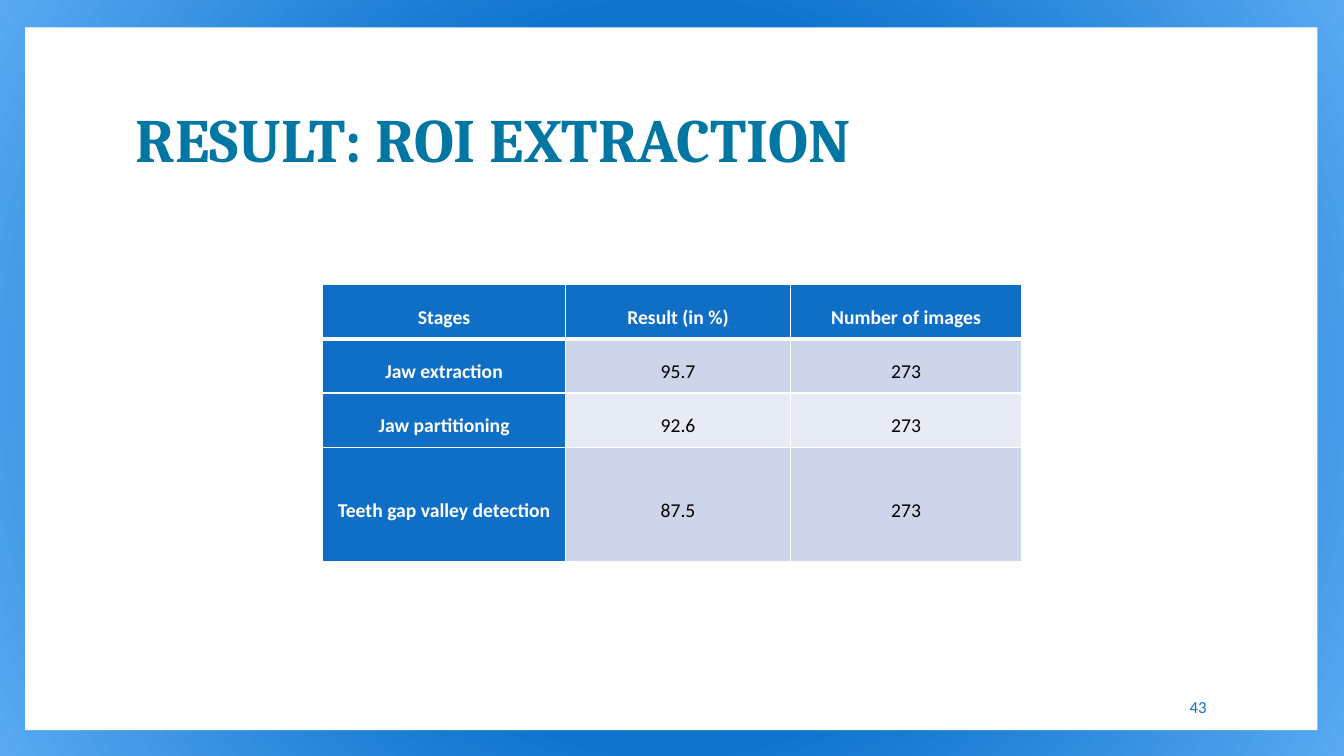
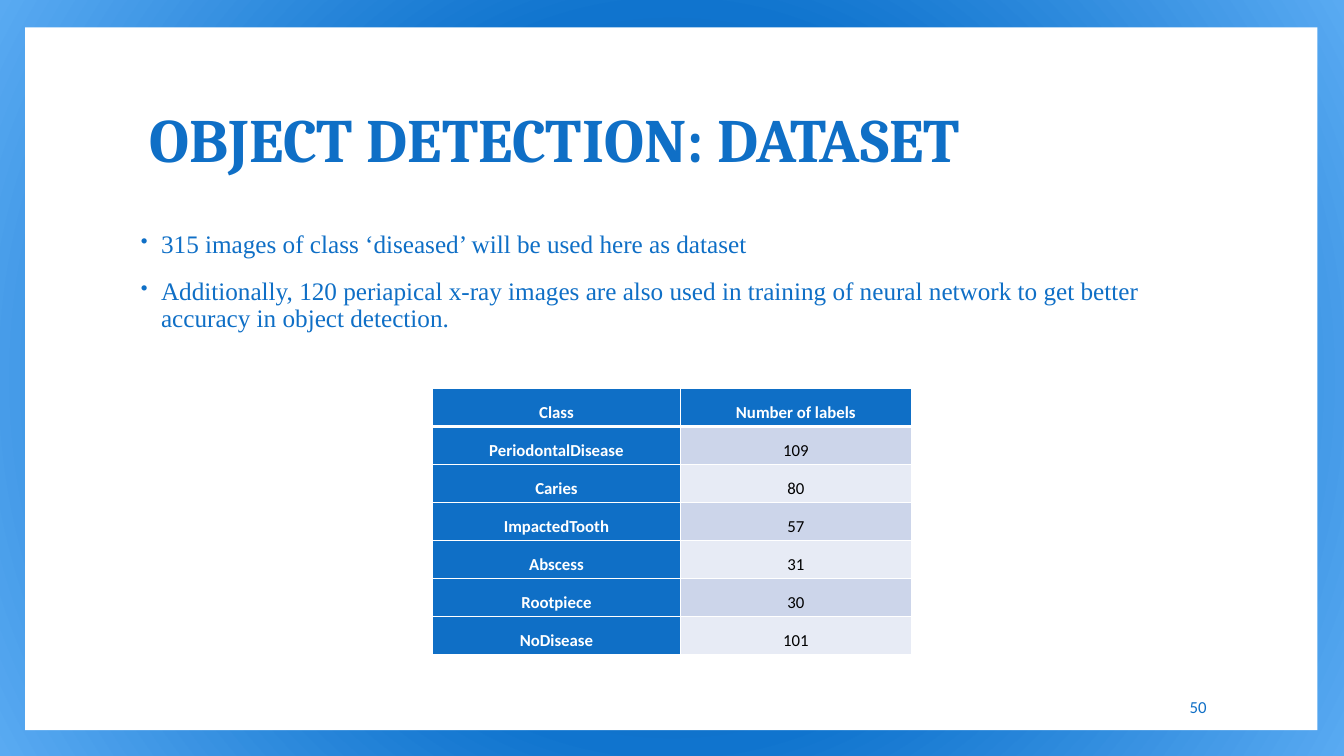
from lxml import etree
from pptx import Presentation
from pptx.dml.color import RGBColor
from pptx.enum.shapes import MSO_SHAPE
from pptx.enum.text import MSO_ANCHOR, PP_ALIGN
from pptx.oxml import parse_xml
from pptx.oxml.ns import nsdecls, qn
from pptx.util import Pt

COLORS = {
    "blue": "0F6FC6", "teal": "0076A3", "white": "FFFFFF", "black": "000000",
    "band_dark": "CCD5EA", "band_light": "E7EBF5",
}
BACKDROP = [(0, "0A4A85"), (48, "1074CE"), (100, "59AAF2")]

# Boxes are left, top, width, height in points
PANEL = (18, 19.5, 923, 502)
TITLE = (90, 48.25, 777.6, 106.5)
BODY = (90, 162, 777.6, 318)
NUMBER = (734.4, 490.3, 134.6, 28.8)


def rgb(name):
    return RGBColor.from_string(COLORS[name])


def style_runs(p, font, size, color, bold=False):
    for r in p.runs:
        r.font.name = font
        r.font.size = Pt(size)
        r.font.bold = bold
        r.font.color.rgb = rgb(color)


def set_backdrop(master):
    """Radial gradient shared by all slides."""
    master.background.fill.solid()
    bg = master.element.find(".//" + qn("p:bgPr"))
    stops = "".join(
        f'<a:gs pos="{pos * 1000}"><a:srgbClr val="{color}"/></a:gs>'
        for pos, color in BACKDROP)
    bg.replace(bg[0], parse_xml(
        f'<a:gradFill {nsdecls("a")} rotWithShape="1"><a:gsLst>{stops}</a:gsLst>'
        '<a:path path="circle"><a:fillToRect l="50000" t="50000" r="50000" b="50000"/>'
        '</a:path></a:gradFill>'))


def add_text_box(s, box, anchor=MSO_ANCHOR.MIDDLE):
    tf = s.shapes.add_textbox(*map(Pt, box)).text_frame
    tf.word_wrap = True
    tf.vertical_anchor = anchor
    return tf


def add_panel(s, box):
    sp = s.shapes.add_shape(MSO_SHAPE.RECTANGLE, *map(Pt, box))
    sp.shadow.inherit = False
    sp.fill.solid()
    sp.fill.fore_color.rgb = rgb("white")
    sp.line.fill.background()


def add_title(s, box, text, color, indent=0):
    tf = add_text_box(s, box)
    tf.margin_left = Pt(7.2 + indent)
    p = tf.paragraphs[0]
    p.text = text
    p.line_spacing = 0.9
    style_runs(p, "Cambria", 44, color, bold=True)


def add_number(s, box, number):
    p = add_text_box(s, box).paragraphs[0]
    p.text = str(number)
    p.alignment = PP_ALIGN.RIGHT
    style_runs(p, "Calibri", 12, "blue")


def add_bullets(s, box, items):
    tf = add_text_box(s, box, MSO_ANCHOR.TOP)
    tf.text = "\n".join(items)
    for i, p in enumerate(tf.paragraphs):
        p.line_spacing = 0.9
        if i:
            p.space_before = Pt(14)
        pPr = p._p.get_or_add_pPr()
        pPr.set("marL", str(Pt(18)))
        pPr.set("indent", str(Pt(-14.4)))
        color = etree.SubElement(pPr, qn("a:buClr"))
        etree.SubElement(color, qn("a:srgbClr"), val=COLORS["blue"])
        etree.SubElement(pPr, qn("a:buSzPct"), val="80000")
        etree.SubElement(pPr, qn("a:buChar"), char="•")
        style_runs(p, "Times New Roman", 18, "blue")


def set_borders(cell, top, bottom):
    tcPr = cell._tc.get_or_add_tcPr()
    for side, width in (("L", 1), ("R", 1), ("T", top), ("B", bottom)):
        ln = etree.SubElement(tcPr, qn(f"a:ln{side}"), w=str(Pt(width)))
        fill = etree.SubElement(ln, qn("a:solidFill"))
        etree.SubElement(fill, qn("a:srgbClr"), val=COLORS["white"])


def style_cell(cell, text, row, col, size):
    # Header row and first column are blue, the rest is banded
    heading = row == 0 or col == 0
    band = "band_dark" if row % 2 else "band_light"
    set_borders(cell, top=3 if row == 1 else 1, bottom=3 if row == 0 else 1)
    cell.fill.solid()
    cell.fill.fore_color.rgb = rgb("blue" if heading else band)
    cell.vertical_anchor = MSO_ANCHOR.MIDDLE
    cell.margin_left = cell.margin_right = Pt(5)
    cell.margin_top = cell.margin_bottom = 0
    p = cell.text_frame.paragraphs[0]
    p.text = text
    p.alignment = PP_ALIGN.CENTER
    p.line_spacing = 1.5
    style_runs(p, "Calibri", size, "white" if heading else "black", heading)


def add_data_table(s, left, top, widths, heights, rows, size):
    table = s.shapes.add_table(
        len(rows), len(widths), Pt(left), Pt(top),
        Pt(sum(widths)), Pt(sum(heights))).table
    table.horz_banding = False
    for column, width in zip(table.columns, widths):
        column.width = Pt(width)
    for i, (values, height) in enumerate(zip(rows, heights)):
        table.rows[i].height = Pt(height)
        for j, value in enumerate(values):
            style_cell(table.cell(i, j), value, i, j, size)


def add_framed_slide(prs, title, color, number, indent=0):
    s = prs.slides.add_slide(prs.slide_layouts[6])
    add_panel(s, PANEL)
    add_title(s, TITLE, title, color, indent)
    add_number(s, NUMBER, number)
    return s


def add_result_slide(prs):
    s = add_framed_slide(prs, "RESULT: ROI EXTRACTION", "teal", 43)
    rows = [
        ("Stages", "Result (in %)", "Number of images"),
        ("Jaw extraction", "95.7", "273"),
        ("Jaw partitioning", "92.6", "273"),
        ("Teeth gap valley detection", "87.5", "273"),
    ]
    add_data_table(s, 230.5, 203.25, (173.5, 160.75, 165),
                   [38.75] * 3 + [82], rows, 14)


def add_dataset_slide(prs):
    s = add_framed_slide(prs, "OBJECT DETECTION: DATASET", "blue", 50, indent=9.5)
    add_bullets(s, BODY, [
        "315 images of class ‘diseased’ will be used here as dataset",
        "Additionally, 120 periapical x-ray images are also used in training of "
        "neural network to get better accuracy in object detection.",
    ])
    rows = [
        ("Class", "Number of labels"),
        ("PeriodontalDisease", "109"),
        ("Caries", "80"),
        ("ImpactedTooth", "57"),
        ("Abscess", "31"),
        ("Rootpiece", "30"),
        ("NoDisease", "101"),
    ]
    add_data_table(s, 309, 277.5, (177, 165), [27.15] * len(rows), rows, 12)


def main():
    prs = Presentation()
    prs.slide_width, prs.slide_height = Pt(960), Pt(540)
    set_backdrop(prs.slide_master)
    add_result_slide(prs)
    add_dataset_slide(prs)
    prs.save("out.pptx")


if __name__ == "__main__":
    main()
